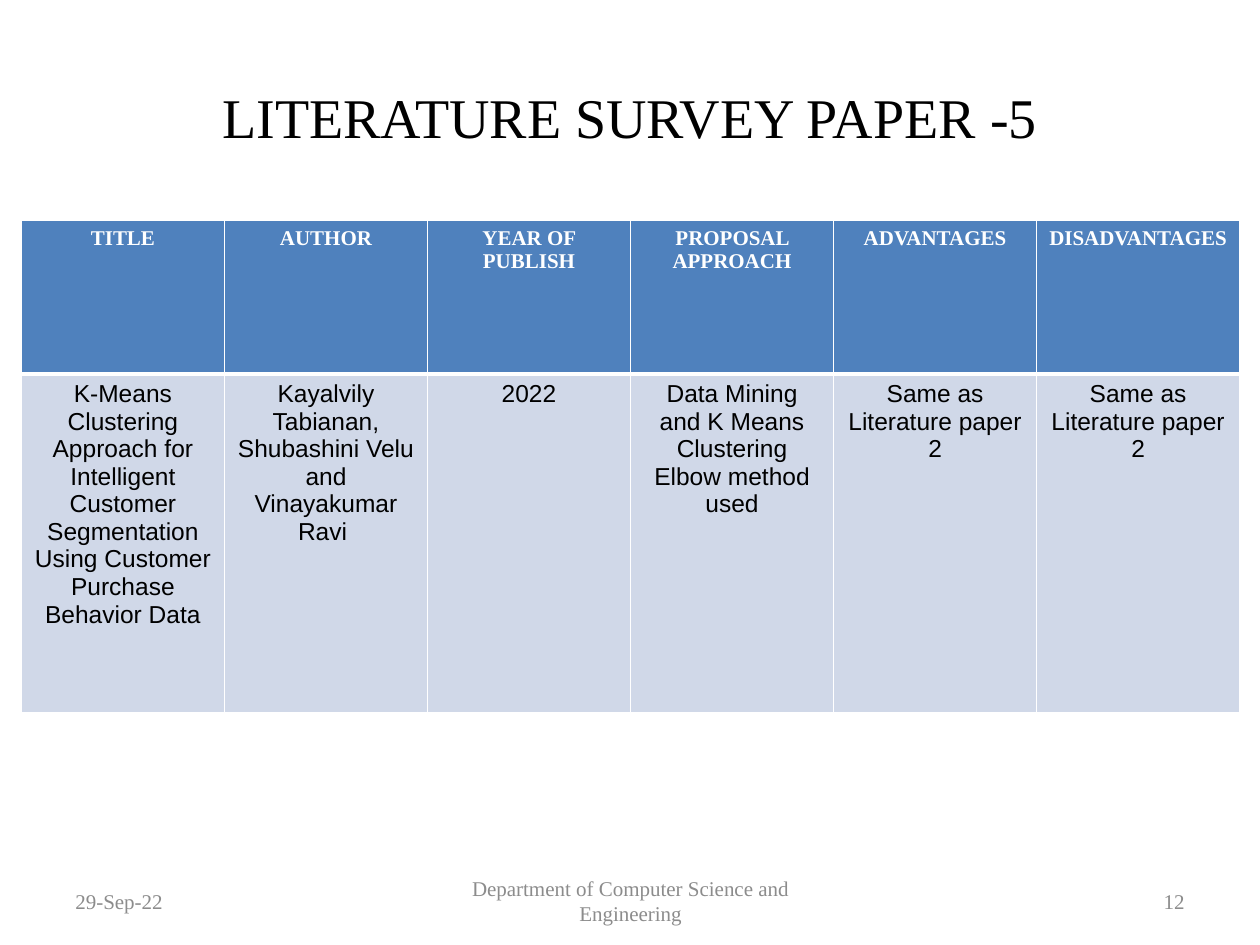
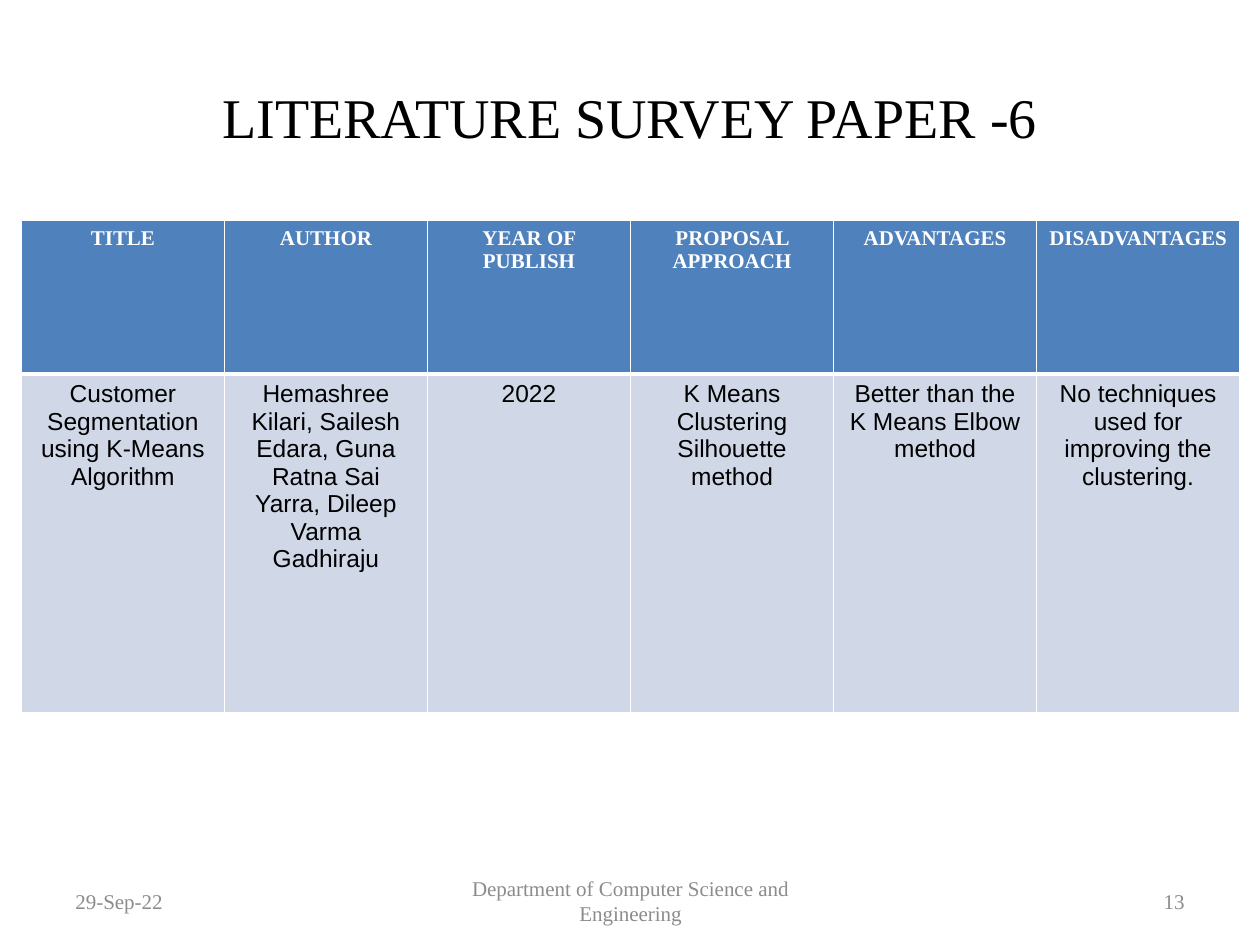
import pptx
import pptx.util
import pptx.dml.color
import pptx.enum.text
import lxml.etree
import pptx.oxml.ns

Inches, Pt = pptx.util.Inches, pptx.util.Pt
RGBColor = pptx.dml.color.RGBColor
ALIGN = pptx.enum.text.PP_ALIGN
MIDDLE = pptx.enum.text.MSO_ANCHOR.MIDDLE

HEADS = ["TITLE", "AUTHOR", "YEAR OF PUBLISH", "PROPOSAL APPROACH",
         "ADVANTAGES", "DISADVANTAGES"]
PAPERS = [
    ("LITERATURE SURVEY PAPER -5", "12", [
        "K-Means Clustering Approach for Intelligent Customer Segmentation "
        "Using Customer Purchase Behavior Data",
        "Kayalvily Tabianan, Shubashini Velu and Vinayakumar Ravi ",
        "2022",
        "Data Mining and K Means Clustering\nElbow method used",
        "Same as Literature paper 2",
        "Same as Literature paper 2"]),
    ("LITERATURE SURVEY PAPER -6", "13", [
        "Customer Segmentation using K-Means Algorithm",
        "Hemashree Kilari, Sailesh Edara, Guna Ratna Sai Yarra, "
        "Dileep Varma Gadhiraju",
        "2022",
        "K Means Clustering\nSilhouette method",
        "Better than the K Means Elbow method",
        "No techniques used for improving the clustering."]),
]
DATE = "29-Sep-22"
DEPT = "Department of Computer Science and Engineering"

SERIF, SANS = "Times New Roman", "Arial"
BLACK = RGBColor(0x00, 0x00, 0x00)
WHITE = RGBColor(0xFF, 0xFF, 0xFF)
GREY = RGBColor(0x8C, 0x8C, 0x8C)
BLUE = RGBColor(0x4F, 0x81, 0xBD)
PALE = RGBColor(0xD0, 0xD8, 0xE8)

WIDTH = 9.67
ROWS = [1.22, 2.69]


def style(frame, size, font, color, align, bold=False):
    for para in frame.paragraphs:
        para.alignment = align
        para.font.size = Pt(size)
        para.font.name = font
        para.font.color.rgb = color
        para.font.bold = bold


def place(shape, left, top, width, height):
    shape.left, shape.top = Inches(left), Inches(top)
    shape.width, shape.height = Inches(width), Inches(height)


def add_title(slide, text):
    title = slide.shapes.title
    place(title, 0.5, 0.3, 9, 1.25)
    title.text_frame.text = text
    title.text_frame.vertical_anchor = MIDDLE
    style(title.text_frame, 32, SERIF, BLACK, ALIGN.CENTER)


def add_footer(slide, number):
    parts = [(DATE, 0.5, 2.33, ALIGN.LEFT),
             (DEPT, 3.42, 3.17, ALIGN.CENTER),
             (number, 7.17, 2.33, ALIGN.RIGHT)]
    for text, left, width, align in parts:
        box = slide.shapes.add_textbox(
            Inches(left), Inches(6.95), Inches(width), Inches(0.4))
        frame = box.text_frame
        frame.word_wrap = True
        frame.vertical_anchor = MIDDLE
        frame.text = text
        style(frame, 12, SERIF, GREY, align)


def add_edges(cell, top, bottom):
    qn = pptx.oxml.ns.qn
    props = cell._tc.get_or_add_tcPr()
    for side, width in zip("LRTB", (1, 1, top, bottom)):
        line = lxml.etree.SubElement(props, qn("a:ln" + side), w=str(Pt(width)))
        fill = lxml.etree.SubElement(line, qn("a:solidFill"))
        lxml.etree.SubElement(fill, qn("a:srgbClr"), val=str(WHITE))


def fill_row(row, texts, fill, edges, *look):
    for cell, text in zip(row.cells, texts):
        cell.text_frame.text = text
        add_edges(cell, *edges)
        cell.fill.solid()
        cell.fill.fore_color.rgb = fill
        style(cell.text_frame, *look)


def add_grid(slide, facts):
    grid = slide.shapes.add_table(
        len(ROWS), len(HEADS), Inches(0.17), Inches(1.75),
        Inches(WIDTH), Inches(sum(ROWS))).table
    for col in grid.columns:
        col.width = Inches(WIDTH / len(HEADS))
    for row, height in zip(grid.rows, ROWS):
        row.height = Inches(height)
    head, body = grid.rows
    fill_row(head, HEADS, BLUE, (1, 3), 12, SERIF, WHITE, ALIGN.CENTER, True)
    fill_row(body, facts, PALE, (3, 1), 14, SANS, BLACK, ALIGN.CENTER)


def main():
    deck = pptx.Presentation()
    deck.slide_width, deck.slide_height = Inches(10), Inches(7.5)
    for title, number, facts in PAPERS:
        slide = deck.slides.add_slide(deck.slide_layouts[5])
        add_title(slide, title)
        add_footer(slide, number)
        add_grid(slide, facts)
    deck.save("out.pptx")


if __name__ == "__main__":
    main()
